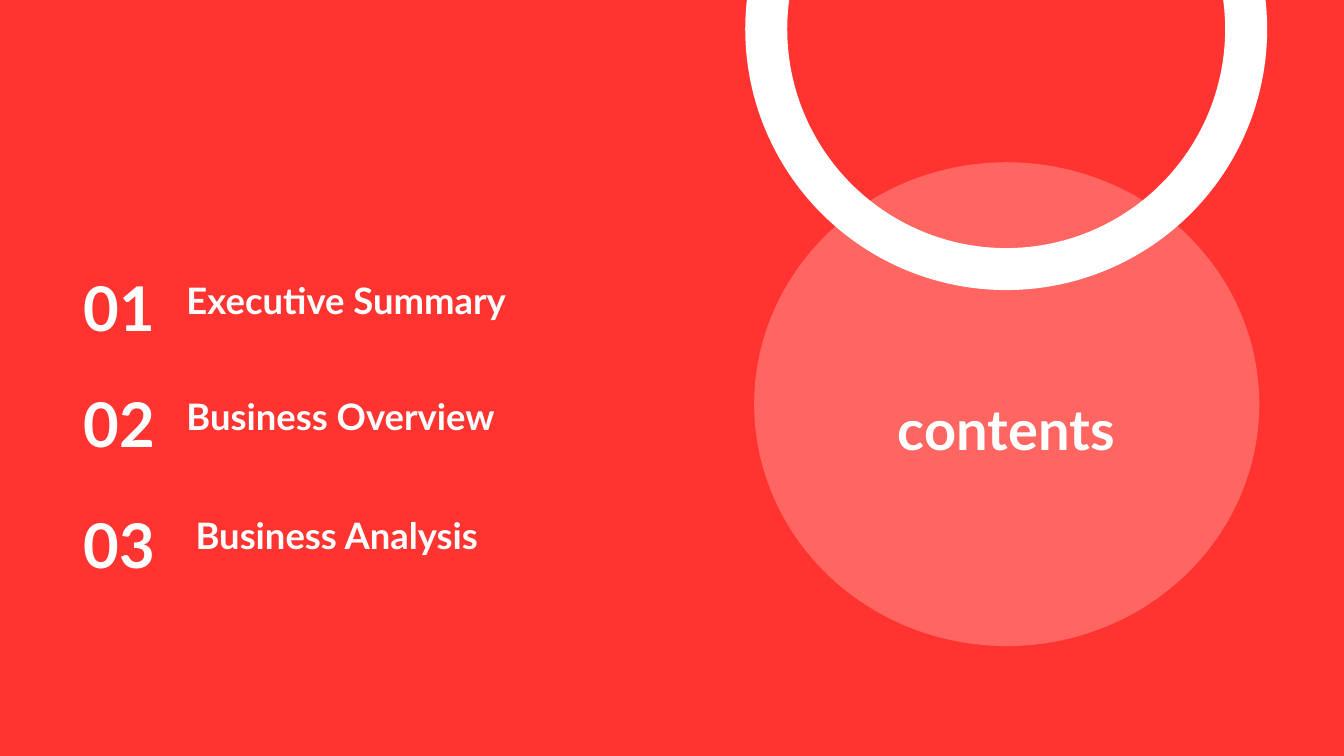
from dataclasses import dataclass

from pptx import Presentation
from pptx.dml.color import RGBColor as RGB
from pptx.enum.shapes import MSO_SHAPE as Shape
from pptx.enum.text import MSO_ANCHOR as Anchor, PP_ALIGN as Align
from pptx.util import Inches, Pt

TITLE = "contents"
# number, label, top of the row, left and height of the label
ITEMS = [
    ("01", "Executive Summary", 2.62, 1.73, 0.56),
    ("02", "Business Overview", 3.77, 1.73, 0.56),
    ("03", "Business Analysis", 4.97, 1.82, 0.54),
]


@dataclass(frozen=True)
class Theme:
    font: str = "Lato"
    back: RGB = RGB(0xFF, 0x34, 0x31)
    disc: RGB = RGB(0xFF, 0x65, 0x61)
    ink: RGB = RGB(0xFF, 0xFF, 0xFF)
    title: int = 40
    number: int = 44
    label: int = 26
    ring: int = 30


LOOK = Theme()


def place(shape, *box):
    shape.left, shape.top, shape.width, shape.height = map(Inches, box)


def write(shape, text, size, align, anchor, inset):
    frame = shape.text_frame
    frame.text = text
    frame.word_wrap = True
    frame.vertical_anchor = anchor
    frame.margin_left = frame.margin_right = Inches(inset)
    frame.margin_top = frame.margin_bottom = Inches(0.05)
    para = frame.paragraphs[0]
    para.alignment = align
    font = para.font
    font.name, font.size, font.bold = LOOK.font, Pt(size), True
    font.color.rgb = LOOK.ink


def oval(slide, *box):
    shape = slide.shapes.add_shape(Shape.OVAL, *map(Inches, box))
    shape.shadow.inherit = False
    return shape


def add_item(slide, number, label, top, left, height):
    group = slide.shapes.add_group_shape()
    parts = [
        (label, (left, top + 0.06, 4.93, height), LOOK.label, Align.LEFT),
        (number, (0.66, top, 1.05, 0.84), LOOK.number, Align.CENTER),
    ]
    for text, box, size, align in parts:
        shape = group.shapes.add_textbox(*map(Inches, box))
        write(shape, text, size, align, Anchor.BOTTOM, 0.12)


def main():
    deck = Presentation()
    deck.slide_width, deck.slide_height = Inches(13.33), Inches(7.5)
    slide = deck.slides.add_slide(deck.slide_layouts[5])
    fill = slide.background.fill
    fill.solid()
    fill.fore_color.rgb = LOOK.back

    disc = oval(slide, 7.48, 1.61, 5.01, 4.8)
    disc.fill.solid()
    disc.fill.fore_color.rgb = LOOK.disc
    disc.line.fill.background()

    title = slide.shapes.title
    place(title, 8.34, 3.86, 3.28, 0.77)
    write(title, TITLE, LOOK.title, Align.CENTER, Anchor.MIDDLE, 0.1)
    disc._element.addnext(title._element)  # title in front of the disc

    for item in ITEMS:
        add_item(slide, *item)

    ring = oval(slide, 7.6, -2.09, 4.76, 4.76)
    ring.fill.background()
    ring.line.color.rgb = LOOK.ink
    ring.line.width = Pt(LOOK.ring)

    deck.save("out.pptx")


if __name__ == "__main__":
    main()
